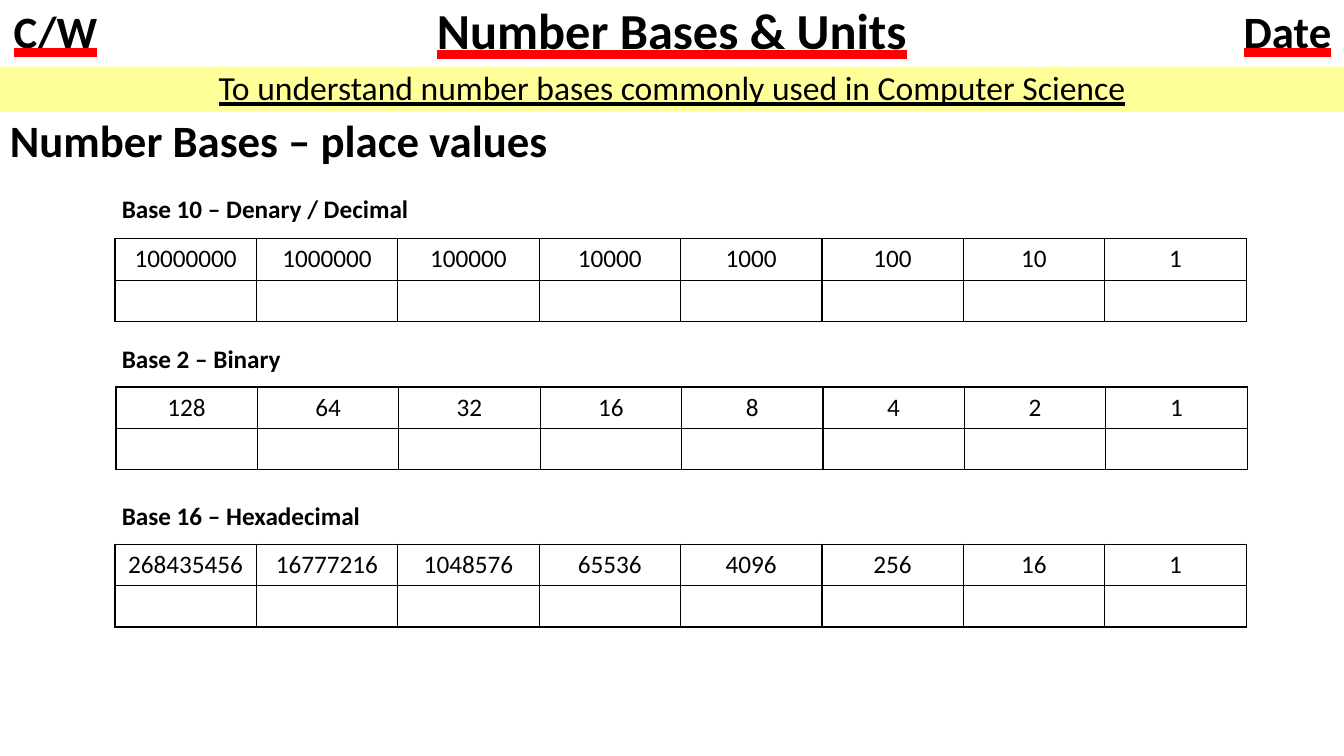
from dataclasses import dataclass

from lxml.etree import SubElement
from pptx import Presentation
from pptx.dml.color import RGBColor
from pptx.enum.shapes import MSO_SHAPE as Preset
from pptx.enum.text import MSO_ANCHOR as Anchor, MSO_AUTO_SIZE as AutoSize
from pptx.enum.text import MSO_UNDERLINE as Underline, PP_ALIGN as Align
from pptx.oxml.ns import qn
from pptx.slide import Slide
from pptx.text.text import TextFrame
from pptx.util import Inches, Pt


@dataclass(frozen=True)
class Theme:
    font: str = "Calibri"
    ink: str = "000000"
    paper: str = "FFFFFF"
    banner: str = "FFFF99"
    accent: str = "FF0000"
    title_size: int = 36
    heading_size: int = 32
    objective_size: int = 24
    body_size: int = 18
    border_width: float = 1


@dataclass(frozen=True)
class Box:
    left: float
    top: float
    width: float
    height: float

    def lengths(self) -> tuple[int, ...]:
        return tuple(Inches(n) for n in (self.left, self.top, self.width, self.height))


@dataclass(frozen=True)
class Panel:
    text: str
    box: Box
    fill: str
    size: int
    bold: bool
    underline: Underline
    anchor: Anchor


@dataclass(frozen=True)
class NumberBase:
    label: str
    base: int
    label_top: float
    table_left: float
    table_top: float


THEME = Theme()
PLACES = 8
TABLE_WIDTH, ROW_HEIGHT = 11.22, 0.41

TITLE_BOX = Box(0, 0, 13.33, 0.66)
HEADING_BOX = Box(0, 1.13, 13.32, 6.37)
PANELS = [
    Panel("C/W", Box(0, 0.01, 1.1, 0.65), THEME.paper, THEME.heading_size,
          True, Underline.HEAVY_LINE, Anchor.MIDDLE),
    Panel("Date", Box(12.22, 0.01, 1.1, 0.65), THEME.paper, THEME.heading_size,
          True, Underline.HEAVY_LINE, Anchor.MIDDLE),
    Panel("To understand number bases commonly used in Computer Science",
          Box(0, 0.66, 13.33, 0.45), THEME.banner, THEME.objective_size,
          False, Underline.SINGLE_LINE, Anchor.TOP),
]
NUMBER_BASES = [
    NumberBase("Base 10 – Denary / Decimal", 10, 1.87, 1.14, 2.37),
    NumberBase("Base 2 – Binary", 2, 3.36, 1.15, 3.84),
    NumberBase("Base 16 – Hexadecimal", 16, 4.91, 1.14, 5.4),
]


def write(frame: TextFrame, text: str, size: int, bold: bool = False,
          underline: Underline = Underline.NONE, align: Align = Align.LEFT,
          spacing: float = 1.0) -> None:
    """Fill a frame with one formatted paragraph."""
    frame.text = text
    paragraph = frame.paragraphs[0]
    paragraph.alignment = align
    paragraph.line_spacing = spacing
    font = paragraph.runs[0].font
    font.name, font.size, font.bold = THEME.font, Pt(size), bold
    font.color.rgb = RGBColor.from_string(THEME.ink)
    if underline != Underline.NONE:
        font.underline = underline
    if underline == Underline.HEAVY_LINE:
        # Heavy underlines take the accent colour
        properties = paragraph.runs[0]._r.get_or_add_rPr()
        underline_fill = SubElement(properties, qn("a:uFill"))
        solid = SubElement(underline_fill, qn("a:solidFill"))
        SubElement(solid, qn("a:srgbClr"), val=THEME.accent)
        properties.find(qn("a:latin")).addprevious(underline_fill)


def add_title(slide: Slide, text: str) -> None:
    title = slide.shapes.title
    title.left, title.top, title.width, title.height = TITLE_BOX.lengths()
    frame = title.text_frame
    frame.auto_size = AutoSize.NONE
    frame.vertical_anchor = Anchor.MIDDLE
    write(frame, text, THEME.title_size, True, Underline.HEAVY_LINE,
          Align.CENTER, 0.9)


def add_panel(slide: Slide, panel: Panel) -> None:
    shape = slide.shapes.add_shape(Preset.RECTANGLE, *panel.box.lengths())
    shape.shadow.inherit = False
    shape.fill.solid()
    shape.fill.fore_color.rgb = RGBColor.from_string(panel.fill)
    shape.line.fill.background()
    frame = shape.text_frame
    frame.vertical_anchor = panel.anchor
    write(frame, panel.text, panel.size, panel.bold, panel.underline,
          Align.CENTER, 0.9)


def add_label(slide: Slide, text: str, box: Box, size: int,
              spacing: float = 1.0) -> None:
    frame = slide.shapes.add_textbox(*box.lengths()).text_frame
    frame.word_wrap = True
    write(frame, text, size, bold=True, spacing=spacing)


def add_place_values(slide: Slide, number_base: NumberBase) -> None:
    box = Box(number_base.table_left, number_base.table_top, TABLE_WIDTH, 2 * ROW_HEIGHT)
    table = slide.shapes.add_table(2, PLACES, *box.lengths()).table
    table.first_row = table.horz_banding = False
    for column in table.columns:
        column.width = Inches(TABLE_WIDTH / PLACES)
    for row in table.rows:
        row.height = Inches(ROW_HEIGHT)

    # Highest power of the base on the left
    for place in range(PLACES):
        value = number_base.base ** (PLACES - 1 - place)
        write(table.cell(0, place).text_frame, str(value), THEME.body_size,
              align=Align.CENTER)

    for cell in table.iter_cells():
        properties = cell._tc.get_or_add_tcPr()
        for side in ("a:lnL", "a:lnR", "a:lnT", "a:lnB"):
            line = SubElement(properties, qn(side), w=str(Pt(THEME.border_width)))
            solid = SubElement(line, qn("a:solidFill"))
            SubElement(solid, qn("a:srgbClr"), val=THEME.ink)
        cell.fill.background()


def main() -> None:
    presentation = Presentation()
    presentation.slide_width, presentation.slide_height = Inches(13.33), Inches(7.5)
    title_only = presentation.slide_layouts.get_by_name("Title Only")
    slide = presentation.slides.add_slide(title_only)

    # Header and learning objective
    add_title(slide, "Number Bases & Units")
    for panel in PANELS:
        add_panel(slide, panel)

    # Place value tables
    add_label(slide, "Number Bases – place values", HEADING_BOX,
              THEME.heading_size, 0.9)
    for number_base in NUMBER_BASES:
        add_label(slide, number_base.label,
                  Box(1.11, number_base.label_top, 4.77, 0.4), THEME.body_size)
        add_place_values(slide, number_base)

    presentation.save("out.pptx")


if __name__ == "__main__":
    main()
